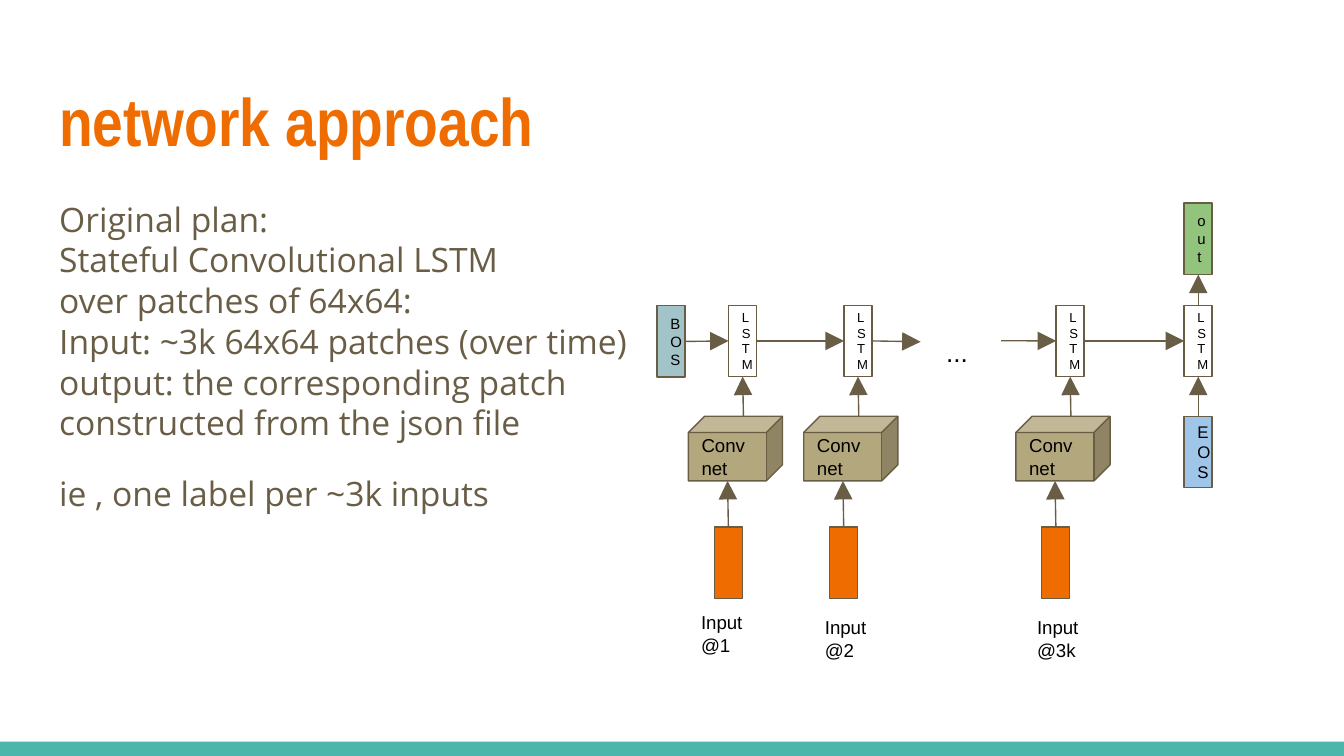
from dataclasses import dataclass
from typing import NamedTuple, Optional

from lxml.etree import SubElement
from pptx import Presentation
from pptx.dml.color import RGBColor
from pptx.enum.shapes import MSO_CONNECTOR as Link, MSO_SHAPE as Shape
from pptx.enum.text import MSO_ANCHOR as Anchor, PP_ALIGN as Align
from pptx.oxml.ns import qn
from pptx.util import Cm, Pt

COLORS = {
    "title": "EF6C00", "body": "695D46", "line": "695D46", "label": "000000",
    "bar": "4DB6AC", "cell": "FFFFFF", "conv": "B3A77D", "input": "EF6C00",
    "begin": "A2C4C9", "end": "9FC5E8", "output": "93C47D",
}
TOP, LEFT, BOTTOM, RIGHT = range(4)
NODE_WIDTH, NODE_HEIGHT = 0.53, 1.35
CUBE_WIDTH, CUBE_HEIGHT, CUBE_DEPTH = 1.78, 1.22, 0.3
OUT_Y, CELL_Y, CONV_Y, INPUT_Y = 3.84, 5.77, 7.87, 9.96
END_X = 22.38


class Style(NamedTuple):
    size: float
    font: str = "Arial"
    color: str = "label"
    bold: bool = False
    align: Align = Align.LEFT
    spacing: float = 1.0
    after: float = 0


class End(NamedTuple):
    x: int
    y: int
    box: Optional[object] = None
    side: int = TOP


@dataclass
class Node:
    x: float
    y: float
    fill: str
    text: str = ""
    size: float = 7
    align: Align = Align.LEFT
    width: float = NODE_WIDTH
    height: float = NODE_HEIGHT
    kind: Shape = Shape.RECTANGLE


@dataclass
class Step:
    x: float
    label: str
    label_x: float
    label_y: float = 11.4
    align: Align = Align.LEFT


STEPS = [
    Step(13.77, "@1", 13, 11.3, Align.CENTER),
    Step(15.95, "@2", 15.34),
    Step(19.96, "@3k", 19.35),
]


def rgb(name: str) -> RGBColor:
    """Look up a named colour."""
    return RGBColor.from_string(COLORS[name])


def write(box, paragraphs: list[str], style: Style, anchor: Anchor = Anchor.TOP) -> None:
    """Fill a box with styled paragraphs."""
    frame = box.text_frame
    frame_format = {"word_wrap": True, "vertical_anchor": anchor}
    frame_format |= {f"margin_{side}": Cm(0.25) for side in ("left", "top", "right", "bottom")}
    for name, value in frame_format.items():
        setattr(frame, name, value)
    for index, text in enumerate(paragraphs):
        para = frame.add_paragraph() if index else frame.paragraphs[0]
        para.text = text
        para_format = {"alignment": style.align, "line_spacing": style.spacing,
                       "space_after": Pt(style.after)}
        for name, value in para_format.items():
            setattr(para, name, value)
        for span in para.runs:
            span_format = {"size": Pt(style.size), "name": style.font, "bold": style.bold}
            for name, value in span_format.items():
                setattr(span.font, name, value)
            span.font.color.rgb = rgb(style.color)


def add_text(page, x: float, y: float, width: float, height: float,
             paragraphs: list[str], style: Style) -> None:
    """Place a text box."""
    box = page.shapes.add_textbox(Cm(x), Cm(y), Cm(width), Cm(height))
    write(box, paragraphs, style)


def add_node(page, node: Node):
    """Draw one outlined block of the network."""
    box = page.shapes.add_shape(node.kind, Cm(node.x), Cm(node.y),
                                Cm(node.width), Cm(node.height))
    box.shadow.inherit = False
    box.fill.solid()
    box.fill.fore_color.rgb = rgb(node.fill)
    box.line.color.rgb = rgb("line")
    box.line.width = Pt(0.75)
    if node.text:
        write(box, [node.text], Style(node.size, align=node.align), Anchor.MIDDLE)
    return box


def side_of(box, side: int) -> End:
    """Give the middle of one side of a rectangle."""
    across = {LEFT: 0, RIGHT: box.width}.get(side, box.width // 2)
    down = {TOP: 0, BOTTOM: box.height}.get(side, box.height // 2)
    return End(box.left + across, box.top + down, box, side)


def add_arrow(page, start: End, finish: End) -> None:
    """Draw an arrow and join it to the rectangles it touches."""
    line = page.shapes.add_connector(Link.STRAIGHT, start.x, start.y, finish.x, finish.y)
    for end, connect in ((start, line.begin_connect), (finish, line.end_connect)):
        if end.box is not None:
            connect(end.box, end.side)
    line.line.color.rgb = rgb("line")
    line.line.width = Pt(0.75)
    SubElement(line.line._get_or_add_ln(), qn("a:tailEnd"), type="triangle", w="lg", len="lg")
    SubElement(line._element.spPr, qn("a:effectLst"))


def add_step(page, step: Step):
    """Draw one input column and return its recurrent cell."""
    cube_x = step.x - 0.76
    add_node(page, Node(cube_x, CONV_Y, "conv", "Conv\vnet", 10, width=CUBE_WIDTH,
                        height=CUBE_HEIGHT, kind=Shape.CUBE))
    cell = add_node(page, Node(step.x, CELL_Y, "cell", "LSTM", align=step.align))
    patch = add_node(page, Node(step.x - 0.27, INPUT_Y, "input"))
    front = End(Cm(cube_x + (CUBE_WIDTH - CUBE_DEPTH) / 2), Cm(CONV_Y + CUBE_HEIGHT))
    top = End(Cm(cube_x + (CUBE_WIDTH + CUBE_DEPTH) / 2), Cm(CONV_Y))
    add_arrow(page, side_of(patch, TOP), front)
    add_arrow(page, top, side_of(cell, BOTTOM))
    add_text(page, step.label_x, step.label_y, 1.48, 1.75, ["Input", step.label], Style(10))
    return cell


def main() -> None:
    """Build the network approach slide."""
    deck = Presentation()
    deck.slide_width, deck.slide_height = Cm(25.4), Cm(14.29)
    page = deck.slides.add_slide(deck.slide_layouts[6])

    bar = page.shapes.add_shape(Shape.RECTANGLE, 0, Cm(14.02), deck.slide_width, Cm(0.27))
    bar.shadow.inherit = False
    bar.fill.solid()
    bar.fill.fore_color.rgb = rgb("bar")
    bar.line.fill.background()

    add_text(page, 0.87, 1.25, 23.67, 1.95, ["network approach"],
             Style(36, "Arial Narrow", "title", True))
    plan = "\v".join([
        "Original plan:", "Stateful Convolutional LSTM", "over patches of 64x64:",
        "Input: ~3k 64x64 patches (over time)", "output: the corresponding patch",
        "constructed from the json file",
    ])
    add_text(page, 0.87, 3.5, 23.67, 9.17, [plan, "ie , one label per ~3k inputs"],
             Style(18, "Open Sans", "body", spacing=1.01, after=16))

    first, second, last = [add_step(page, step) for step in STEPS]
    final = add_node(page, Node(END_X, CELL_Y, "cell", "LSTM"))
    begin = add_node(page, Node(12.42, CELL_Y + 0.01, "begin", "BOS", 8))
    end = add_node(page, Node(END_X, CONV_Y, "end", "EOS", 9))
    output = add_node(page, Node(END_X, OUT_Y, "output", "out", 8))

    for left, right in ((begin, first), (first, second), (last, final)):
        add_arrow(page, side_of(left, RIGHT), side_of(right, LEFT))
    for lower, upper in ((end, final), (final, output)):
        add_arrow(page, side_of(lower, TOP), side_of(upper, BOTTOM))
    add_arrow(page, side_of(second, RIGHT), End(Cm(17.4), Cm(6.46)))
    add_arrow(page, End(Cm(18.92), Cm(6.44)), side_of(last, LEFT))
    add_text(page, 17.63, 6.1, 1.04, 1.75, ["..."], Style(14))

    deck.save("out.pptx")


if __name__ == "__main__":
    main()
